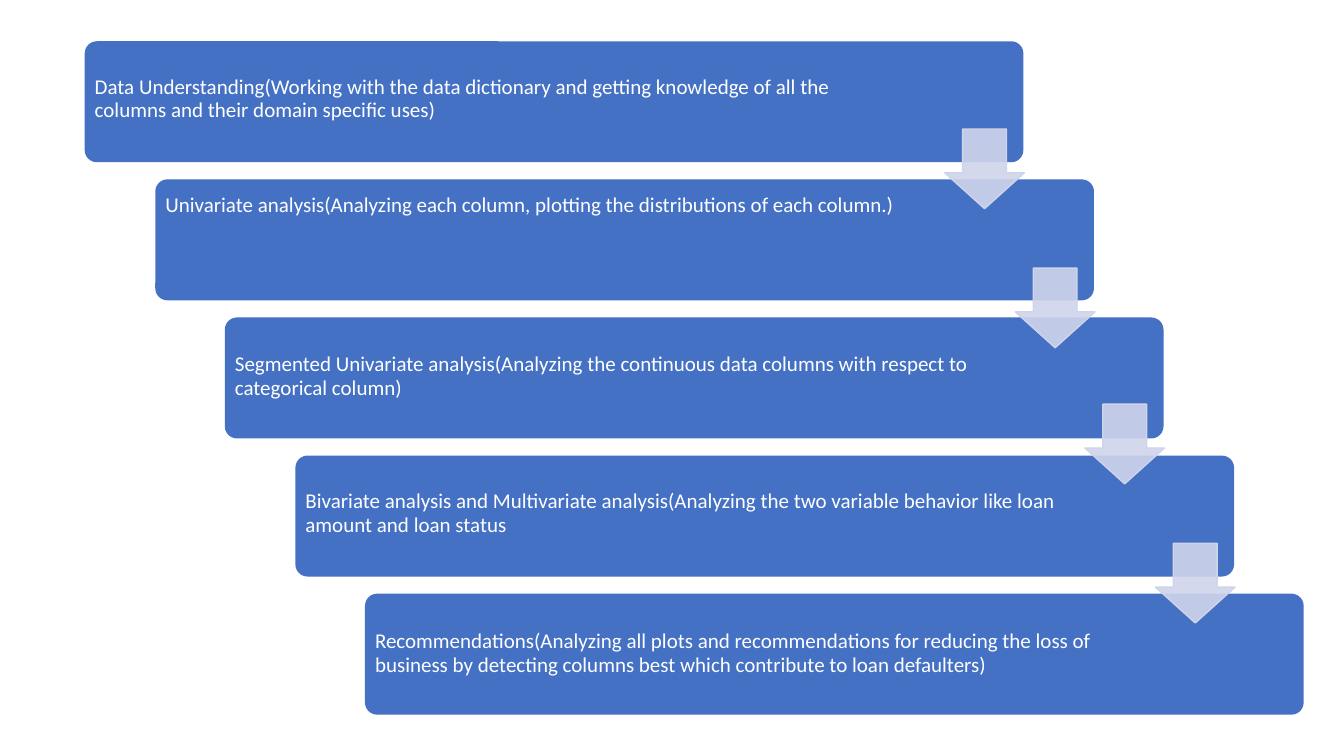
from lxml.etree import SubElement
from pptx import Presentation
from pptx.dml.color import RGBColor
from pptx.enum.shapes import MSO_SHAPE as Shape
from pptx.enum.text import MSO_ANCHOR as Anchor, PP_ALIGN as Align
from pptx.oxml.ns import qn
from pptx.util import Pt

PX = 9144  # EMU per px, 100 px to the inch
THEME = {
    "panel": RGBColor.from_string("4471C4"),
    "arrow": RGBColor.from_string("CFD4EA"),
    "text": RGBColor.from_string("FFFFFF"),
    "font": "Calibri",
    "size": Pt(15),
    "leading": Pt(17),
}

# Text top, top of the arrow to the next step, wording
STEPS = [
    (73, 128, "Data Understanding(Working with the data dictionary and getting knowledge of all the\v"
              "columns and their domain specific uses)"),
    (190, 266, "Univariate analysis(Analyzing each column, plotting the distributions of each column.)"),
    (348, 401, "Segmented Univariate analysis(Analyzing the continuous data columns with respect to\v"
               "categorical column)"),
    (484, 539, "Bivariate analysis and Multivariate analysis(Analyzing the two variable behavior like loan\v"
               "amount and loan status"),
    (623, None, "Recommendations(Analyzing all plots and recommendations for reducing the loss of\v"
                "business by detecting columns best which contribute to loan defaulters)"),
]
PANEL_WIDTH, PANEL_HEIGHT = 931, 120
FIRST_LEFT, FIRST_TOP = 84, 41
TWO_STEPS_RIGHT, STEP_DOWN = 139, 137
TEXT_INDENT, TEXT_WIDTH, TEXT_HEIGHT = 9, 760, 51
ARROW_SIZE = 79


def add_filled(kind, bounds, color, adjustments):
    shape = slide.shapes.add_shape(kind, *(value * PX for value in bounds))
    shape.shadow.inherit = False
    shape.fill.solid()
    shape.fill.fore_color.rgb = color
    shape.line.fill.background()
    for index, value in enumerate(adjustments):
        shape.adjustments[index] = value
    return shape


deck = Presentation()
deck.slide_width, deck.slide_height = 1333 * PX, 750 * PX
slide = deck.slides.add_slide(deck.slide_layouts[6])
lefts = [FIRST_LEFT + (TWO_STEPS_RIGHT * i + 1) // 2 for i in range(len(STEPS))]

for i, (left, (text_top, _, wording)) in enumerate(zip(lefts, STEPS)):
    bounds = (left, FIRST_TOP + i * STEP_DOWN, PANEL_WIDTH, PANEL_HEIGHT)
    add_filled(Shape.ROUNDED_RECTANGLE, bounds, THEME["panel"], [0.1])

    text_bounds = (left + TEXT_INDENT, text_top, TEXT_WIDTH, TEXT_HEIGHT)
    box = slide.shapes.add_textbox(*(value * PX for value in text_bounds))
    frame = box.text_frame
    frame_format = {"word_wrap": True, "vertical_anchor": Anchor.TOP, "margin_left": PX,
                    "margin_top": PX, "margin_right": 0, "margin_bottom": 0}
    for name, value in frame_format.items():
        setattr(frame, name, value)
    para = frame.paragraphs[0]
    para.text = wording
    para_format = {"alignment": Align.LEFT, "space_before": Pt(1), "line_spacing": THEME["leading"]}
    for name, value in para_format.items():
        setattr(para, name, value)
    for span in para.runs:
        for name, value in {"name": THEME["font"], "size": THEME["size"]}.items():
            setattr(span.font, name, value)
        span.font.color.rgb = THEME["text"]

for left, (_, arrow_top, _) in zip(lefts, STEPS[:-1]):
    bounds = (left + PANEL_WIDTH - ARROW_SIZE + 1, arrow_top, ARROW_SIZE, ARROW_SIZE)
    arrow = add_filled(Shape.DOWN_ARROW, bounds, THEME["arrow"], [0.55, 0.45])
    arrow.line.color.rgb = THEME["arrow"]
    arrow.line.width = Pt(1)
    fill_color = arrow.fill._xPr.find(qn("a:solidFill"))[0]
    SubElement(fill_color, qn("a:alpha"), val="90000")

deck.save("out.pptx")
